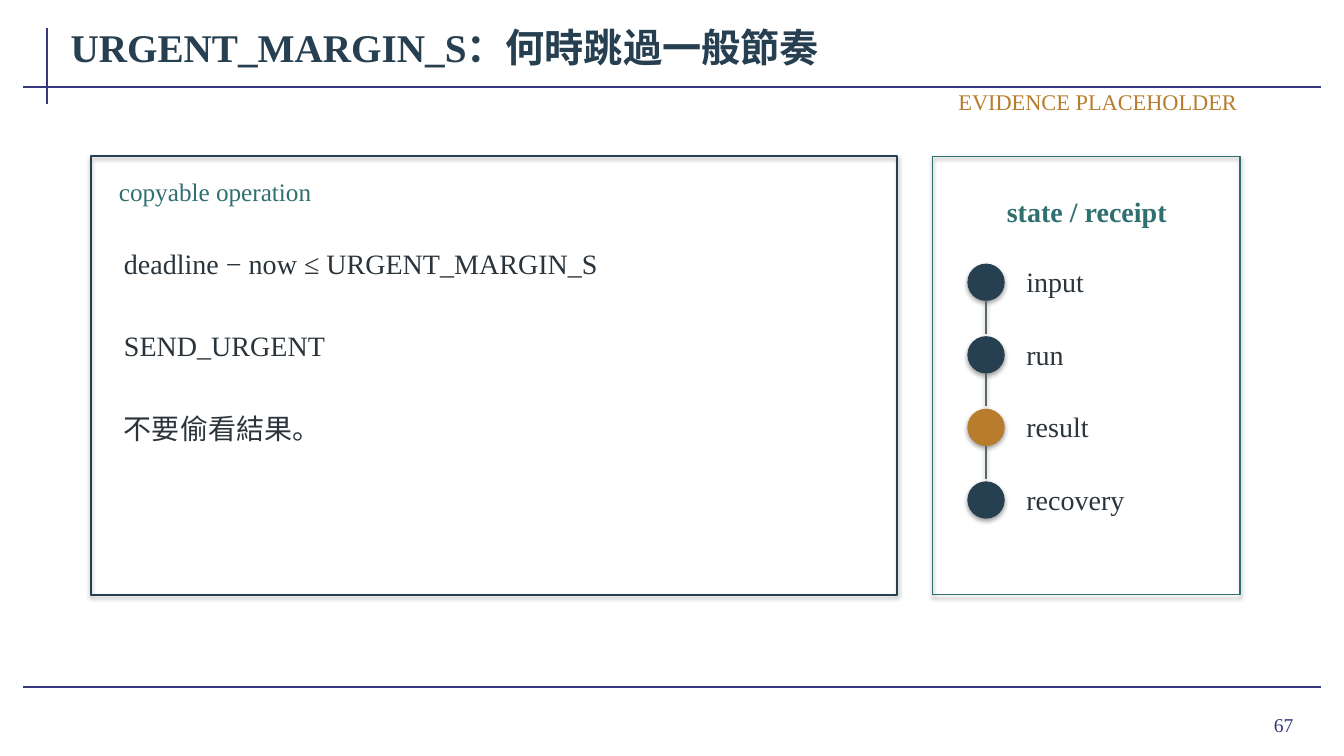
from dataclasses import dataclass

from pptx import Presentation
from pptx.dml.color import RGBColor
from pptx.enum.shapes import MSO_CONNECTOR, MSO_SHAPE
from pptx.enum.text import MSO_ANCHOR, MSO_AUTO_SIZE, PP_ALIGN
from pptx.oxml import parse_xml
from pptx.oxml.ns import nsdecls
from pptx.util import Inches, Pt


@dataclass(frozen=True)
class Theme:
    font: str = "Times New Roman"
    navy: str = "263F51"
    teal: str = "2F6F70"
    amber: str = "B77D2D"
    ink: str = "2A343A"
    grey: str = "59686F"
    indigo: str = "35377F"
    title: int = 28
    body: int = 20
    label: int = 18
    tag: int = 16
    number: int = 14


@dataclass(frozen=True)
class Box:
    left: float
    top: float
    width: float
    height: float

    def share(self, left, top, width, height):
        """A box inside this one, given in percent of its sides."""
        return Box(self.left + self.width * left / 100,
                   self.top + self.height * top / 100,
                   self.width * width / 100, self.height * height / 100)

    def lengths(self):
        return [Inches(n) for n in (self.left, self.top, self.width, self.height)]


THEME = Theme()
PAGE = Box(0, 0, 13.33, 7.5)


def color(value):
    return RGBColor.from_string(value)


def write(shape, text, *, size=THEME.body, ink=THEME.ink, bold=False,
          align=PP_ALIGN.LEFT):
    frame = shape.text_frame
    frame.word_wrap = True
    frame.auto_size = MSO_AUTO_SIZE.NONE
    frame.vertical_anchor = MSO_ANCHOR.MIDDLE
    frame.margin_left = frame.margin_right = Inches(0.08)
    frame.margin_top = frame.margin_bottom = Inches(0.04)
    paragraph = frame.paragraphs[0]
    paragraph.alignment = align
    run = paragraph.add_run()
    run.text = text
    run.font.name = THEME.font
    run.font.size = Pt(size)
    run.font.bold = bold
    run.font.color.rgb = color(ink)


def add_text(slide, box, text, **style):
    write(slide.shapes.add_textbox(*box.lengths()), text, **style)


def add_outline(slide, kind, box, line, width, fill=None):
    """Preset shape that keeps the soft shadow of the theme."""
    shape = slide.shapes.add_shape(kind, *box.lengths())
    if fill:
        shape.fill.solid()
        shape.fill.fore_color.rgb = color(fill)
    else:
        shape.fill.background()
    shape.line.color.rgb = color(line)
    shape.line.width = Pt(width)


def add_line(slide, box, ink, width, shadow=False):
    left, top, across, down = box.lengths()
    line = slide.shapes.add_connector(MSO_CONNECTOR.STRAIGHT, left, top,
                                      left + across, top + down)
    line.line.color.rgb = color(ink)
    line.line.width = Pt(width)
    if not shadow:
        line._element.spPr.append(parse_xml(f"<a:effectLst {nsdecls('a')}/>"))


def page_frame(slide, box, title, tag, number):
    # Rules at the left, top and bottom
    for rule in ((3.53, 3.73, 0, 10), (1.73, 11.47, 96.54, 0),
                 (1.73, 90.93, 96.54, 0)):
        add_line(slide, box.share(*rule), THEME.indigo, 1.5)
    # Title, page number and tag
    heading = slide.shapes.title
    heading.left, heading.top, heading.width, heading.height = box.share(
        4.65, 2, 93.7, 8.27).lengths()
    write(heading, title, size=THEME.title, ink=THEME.navy, bold=True)
    add_text(slide, box.share(89.72, 92.4, 7.13, 6.93), number,
             size=THEME.number, ink=THEME.indigo, align=PP_ALIGN.RIGHT)
    add_text(slide, box.share(68.64, 11.47, 24.01, 4), tag,
             size=THEME.tag, ink=THEME.amber, align=PP_ALIGN.RIGHT)


def operation_panel(slide, box, label, lines):
    add_outline(slide, MSO_SHAPE.RECTANGLE, box, THEME.navy, 1.4)
    add_text(slide, box.share(2.5, 3.91, 95, 8.05), label,
             size=THEME.label, ink=THEME.teal)
    for row, text in enumerate(lines):
        add_text(slide, box.share(3.13, 16.09 + 18.85 * row, 91.88, 16.55), text)


def state_panel(slide, box, heading, steps, highlight):
    add_outline(slide, MSO_SHAPE.RECTANGLE, box, THEME.teal, 1.1)
    add_text(slide, box.share(7.54, 6.21, 85.25, 12.64), heading,
             ink=THEME.teal, bold=True, align=PP_ALIGN.CENTER)
    # Chain of dots, each linked to the next
    for row, step in enumerate(steps):
        top = 24.6 + 16.55 * row
        dot_color = THEME.amber if step == highlight else THEME.navy
        add_outline(slide, MSO_SHAPE.OVAL, box.share(11.48, top, 11.8, 8.28),
                    dot_color, 0.75, fill=dot_color)
        add_text(slide, box.share(27.87, top - 0.69, 60.66, 9.2), step)
        if row < len(steps) - 1:
            add_line(slide, box.share(17.38, top + 8.28, 0, 7.59),
                     THEME.grey, 0.9, shadow=True)


def main():
    presentation = Presentation()
    presentation.slide_width = Inches(PAGE.width)
    presentation.slide_height = Inches(PAGE.height)
    slide = presentation.slides.add_slide(presentation.slide_layouts[5])

    page_frame(slide, PAGE, "URGENT_MARGIN_S：何時跳過一般節奏",
               "EVIDENCE PLACEHOLDER", "67")
    operation_panel(slide, PAGE.share(6.75, 20.67, 60.02, 58),
                    "copyable operation",
                    ["deadline − now ≤ URGENT_MARGIN_S", "SEND_URGENT",
                     "不要偷看結果。"])
    state_panel(slide, PAGE.share(69.39, 20.67, 22.88, 58), "state / receipt",
                ["input", "run", "result", "recovery"], highlight="result")

    presentation.save("out.pptx")


if __name__ == "__main__":
    main()
